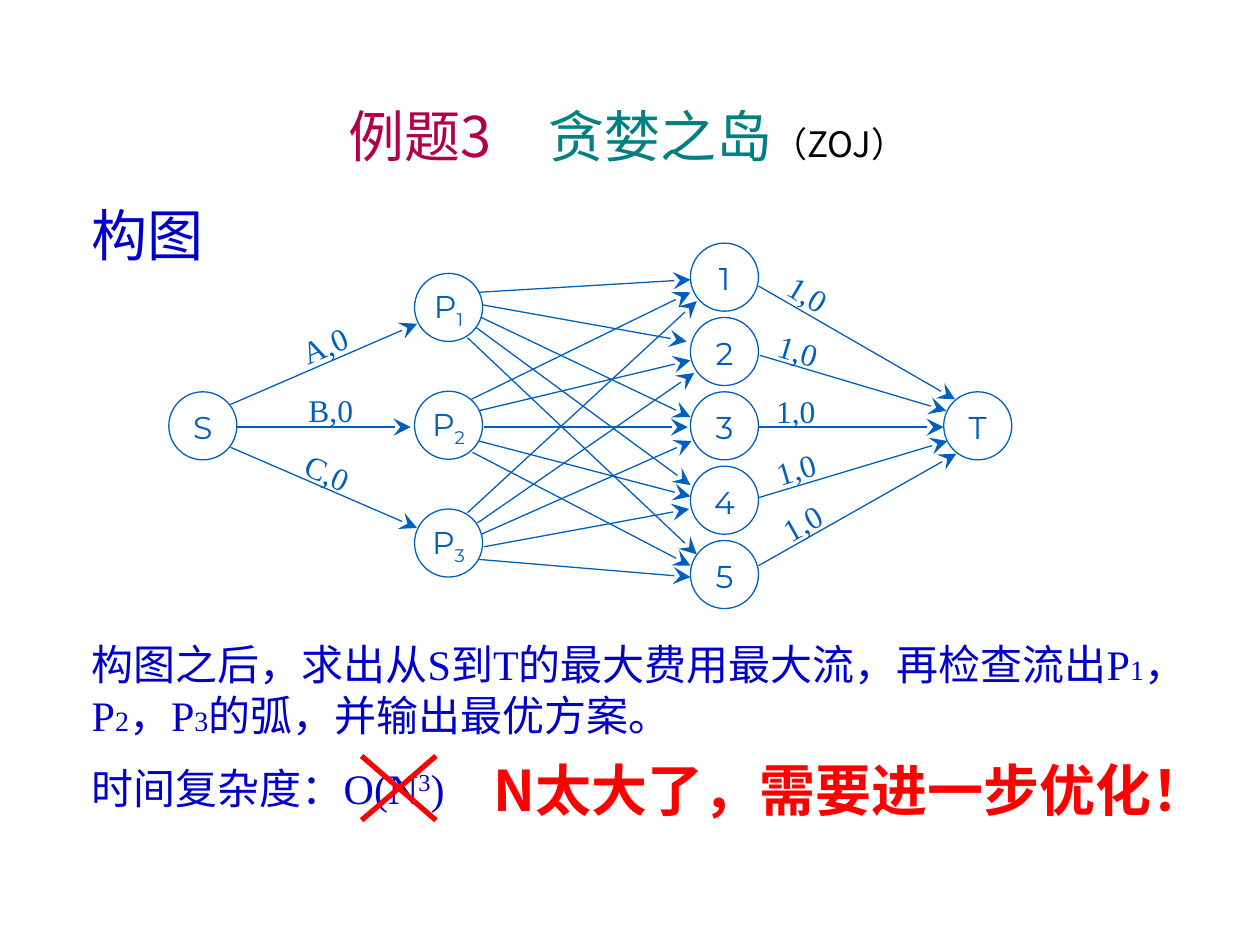
import dataclasses
import typing

import pptx
import pptx.dml.color
import pptx.enum.shapes
import pptx.enum.text
import pptx.oxml
import pptx.oxml.ns
import pptx.util

Inches = pptx.util.Inches
Pt = pptx.util.Pt
RGB = pptx.dml.color.RGBColor
ALIGN = pptx.enum.text.PP_ALIGN
ANCHOR = pptx.enum.text.MSO_ANCHOR
DIAGRAM_BLUE = RGB(0x00, 0x5F, 0xBE)
TEXT_BLUE = RGB(0x00, 0x00, 0xCC)
CRIMSON = RGB(0xB2, 0x00, 0x48)
TEAL = RGB(0x00, 0x80, 0x80)
BLACK = RGB(0x00, 0x00, 0x00)
RED = RGB(0xFF, 0x00, 0x00)
CJK = "Noto Sans CJK SC"
SERIF = "Times New Roman"
NODE_SIZE = 0.54
LABEL_HEIGHT = 0.4


@dataclasses.dataclass(frozen=True)
class Span:
    text: str
    size: float
    font: str
    color: RGB
    bold: bool = False
    baseline: int = 0


@dataclasses.dataclass(frozen=True)
class Node:
    text: str
    left: float
    top: float
    subscript: str = ""


@dataclasses.dataclass(frozen=True)
class Edge:
    start: tuple[float, float]
    end: tuple[float, float]


@dataclasses.dataclass(frozen=True)
class Label:
    text: str
    left: float
    top: float
    rotation: float = 0
    width: float = 0.79


NODES = [
    Node("S", 1.34, 3.11),
    *[Node("P", 3.29, 2.17 + 0.935 * row, str(row + 1)) for row in range(3)],
    *[Node(str(row + 1), 5.48, 1.93 + 0.59 * row) for row in range(5)],
    Node("T", 7.49, 3.11),
]

EDGES = [
    Edge((1.83, 3.21), (3.31, 2.57)),
    Edge((1.88, 3.39), (3.26, 3.39)),
    Edge((1.83, 3.55), (3.31, 4.19)),
    Edge((3.8, 2.32), (5.48, 2.22)),
    Edge((3.83, 2.42), (5.45, 2.71)),
    Edge((3.82, 2.52), (5.48, 3.31)),
    Edge((3.78, 2.6), (5.48, 3.85)),
    Edge((3.71, 2.68), (5.53, 4.4)),
    Edge((3.74, 3.17), (5.48, 2.32)),
    Edge((3.8, 3.26), (5.48, 2.86)),
    Edge((3.84, 3.39), (5.46, 3.39)),
    Edge((3.8, 3.5), (5.48, 3.94)),
    Edge((3.75, 3.59), (5.48, 4.49)),
    Edge((3.71, 4.07), (5.53, 2.39)),
    Edge((3.79, 4.15), (5.51, 2.96)),
    Edge((3.82, 4.24), (5.49, 3.5)),
    Edge((3.84, 4.34), (5.47, 4.04)),
    Edge((3.8, 4.44), (5.48, 4.58)),
    Edge((6.02, 2.27), (7.58, 3.17)),
    Edge((6.03, 2.82), (7.51, 3.26)),
    Edge((6.02, 3.39), (7.49, 3.39)),
    Edge((6.02, 3.95), (7.52, 3.5)),
    Edge((6.02, 4.49), (7.59, 3.6)),
]

LABELS = [
    Label("A,0", 2.13, 2.54, 337.3, 0.89),
    Label("B,0", 2.23, 3.05),
    Label("C,0", 2.23, 3.55, 23.8, 0.74),
    Label("1,0", 6.02, 2.13, 30.8),
    Label("1,0", 5.94, 2.58, 17.2),
    Label("1,0", 5.92, 3.06),
    Label("1,0", 5.92, 3.52, 343.4),
    Label("1,0", 5.97, 3.95, 330.8),
]

CROSS = [Edge((2.87, 6), (3.46, 6.51)), Edge((3.46, 6), (2.87, 6.51))]


def apply(target: typing.Any, formats: dict[str, typing.Any]) -> None:
    for name, value in formats.items():
        setattr(target, name, value)


def append_element(parent: typing.Any, tag: str, **attributes: str) -> None:
    element = pptx.oxml.parse_xml(f"<a:{tag} {pptx.oxml.ns.nsdecls('a')}/>")
    for name, value in attributes.items():
        element.set(name, value)
    parent.append(element)


def write(box: typing.Any, spans: list[Span], align: ALIGN = ALIGN.LEFT) -> None:
    para = box.text_frame.paragraphs[0]
    apply(para, {"alignment": align, "space_before": Pt(0)})
    for item in spans:
        span = para.add_run()
        span.text = item.text
        apply(span.font, {"size": Pt(item.size), "name": item.font, "bold": item.bold})
        span.font.color.rgb = item.color
        properties = span.font._element
        append_element(properties, "ea", typeface=CJK)
        if item.baseline:
            properties.set("baseline", str(item.baseline * 1000))


def add_text(shapes: typing.Any, place: tuple[float, ...], spans: list[Span]) -> None:
    box = shapes.add_textbox(*map(Inches, place))
    box.text_frame.word_wrap = True
    write(box, spans)


def add_label(shapes: typing.Any, label: Label, spans: list[Span]) -> None:
    box = shapes.add_textbox(*map(Inches, (label.left, label.top, label.width, LABEL_HEIGHT)))
    box.rotation = label.rotation
    apply(box.text_frame, {"word_wrap": False, "vertical_anchor": ANCHOR.MIDDLE})
    write(box, spans, ALIGN.CENTER)


def add_node(shapes: typing.Any, node: Node) -> None:
    circle = shapes.add_shape(
        pptx.enum.shapes.MSO_SHAPE.OVAL,
        *map(Inches, (node.left, node.top, NODE_SIZE, NODE_SIZE)),
    )
    circle.shadow.inherit = False
    circle.fill.background()
    circle.line.color.rgb = DIAGRAM_BLUE
    circle.line.width = Pt(0.75)
    spans = [Span(node.text, 18, "Montserrat", DIAGRAM_BLUE)]
    if node.subscript:
        spans.append(Span(node.subscript, 18, "Montserrat", DIAGRAM_BLUE, baseline=-25))
    width = 0.79 if node.subscript else 0.44
    left = node.left + (NODE_SIZE - width) / 2
    add_label(shapes, Label(node.text, left, node.top + 0.08, width=width), spans)


def add_edge(shapes: typing.Any, edge: Edge, color: RGB, width: float, arrow: bool) -> None:
    line = shapes.add_connector(
        pptx.enum.shapes.MSO_CONNECTOR.STRAIGHT, *map(Inches, edge.start + edge.end)
    )
    line.line.color.rgb = color
    line.line.width = Pt(width)
    if arrow:
        append_element(line.line._get_or_add_ln(), "tailEnd", type="stealth", w="lg", len="lg")
    append_element(line._element.spPr, "effectLst")


def move_placeholder(box: typing.Any, place: tuple[float, ...], anchor: ANCHOR) -> None:
    apply(box, dict(zip(("left", "top", "width", "height"), map(Inches, place))))
    apply(
        box.text_frame,
        {"auto_size": pptx.enum.text.MSO_AUTO_SIZE.NONE, "word_wrap": True, "vertical_anchor": anchor},
    )


def main() -> None:
    deck = pptx.Presentation()
    apply(deck, {"slide_width": Inches(10), "slide_height": Inches(7.5)})
    slide = deck.slides.add_slide(deck.slide_layouts[1])
    title, body = slide.shapes.title, slide.placeholders[1]

    move_placeholder(title, (0.31, 0.75, 9.34, 0.64), ANCHOR.MIDDLE)
    write(title, [
        Span("例题3　", 32, CJK, CRIMSON),
        Span("贪婪之岛", 32, "Comic Neue", TEAL),
        Span("（", 20, "Arial", BLACK),
        Span("ZOJ", 20, CJK, BLACK),
        Span("）", 20, "Arial", BLACK),
    ], ALIGN.CENTER)

    move_placeholder(body, (0.63, 1.54, 2.44, 0.64), ANCHOR.TOP)
    properties = body.text_frame.paragraphs[0]._p.get_or_add_pPr()
    append_element(properties, "buNone")
    apply_indent = {"marL": Inches(0.4), "indent": -Inches(0.4)}
    for name, value in apply_indent.items():
        properties.set(name, str(int(value)))
    write(body, [Span("构图", 32, CJK, TEXT_BLUE)])

    network = slide.shapes.add_group_shape().shapes
    for node in NODES:
        add_node(network, node)
    for edge in EDGES:
        add_edge(network, edge, DIAGRAM_BLUE, 0.75, True)
    for label in LABELS:
        add_label(network, label, [Span(label.text, 18, SERIF, DIAGRAM_BLUE)])

    summary = ["构图之后，求出从S到T的最大费用最大流，再检查流出P", "1", "，P", "2", "，P", "3", "的弧，并输出最优方案。"]
    add_text(slide.shapes, (0.63, 5.02, 8.94, 0.9), [
        Span(text, 16 if text.isdigit() else 24, SERIF, TEXT_BLUE) for text in summary
    ])
    add_text(slide.shapes, (0.63, 6, 3.03, 0.9), [
        Span("时间复杂度：", 24, CJK, TEXT_BLUE),
        Span("O(N", 24, SERIF, TEXT_BLUE),
        Span("3", 24, SERIF, TEXT_BLUE, baseline=30),
        Span(")", 24, SERIF, TEXT_BLUE),
    ])
    cross = slide.shapes.add_group_shape().shapes
    for stroke in CROSS:
        add_edge(cross, stroke, RED, 3, False)
    add_text(slide.shapes, (3.82, 5.95, 5.91, 0.64), [
        Span("N太大了，需要进一步优化！", 32, CJK, RED, bold=True)
    ])
    deck.save("out.pptx")


if __name__ == "__main__":
    main()
